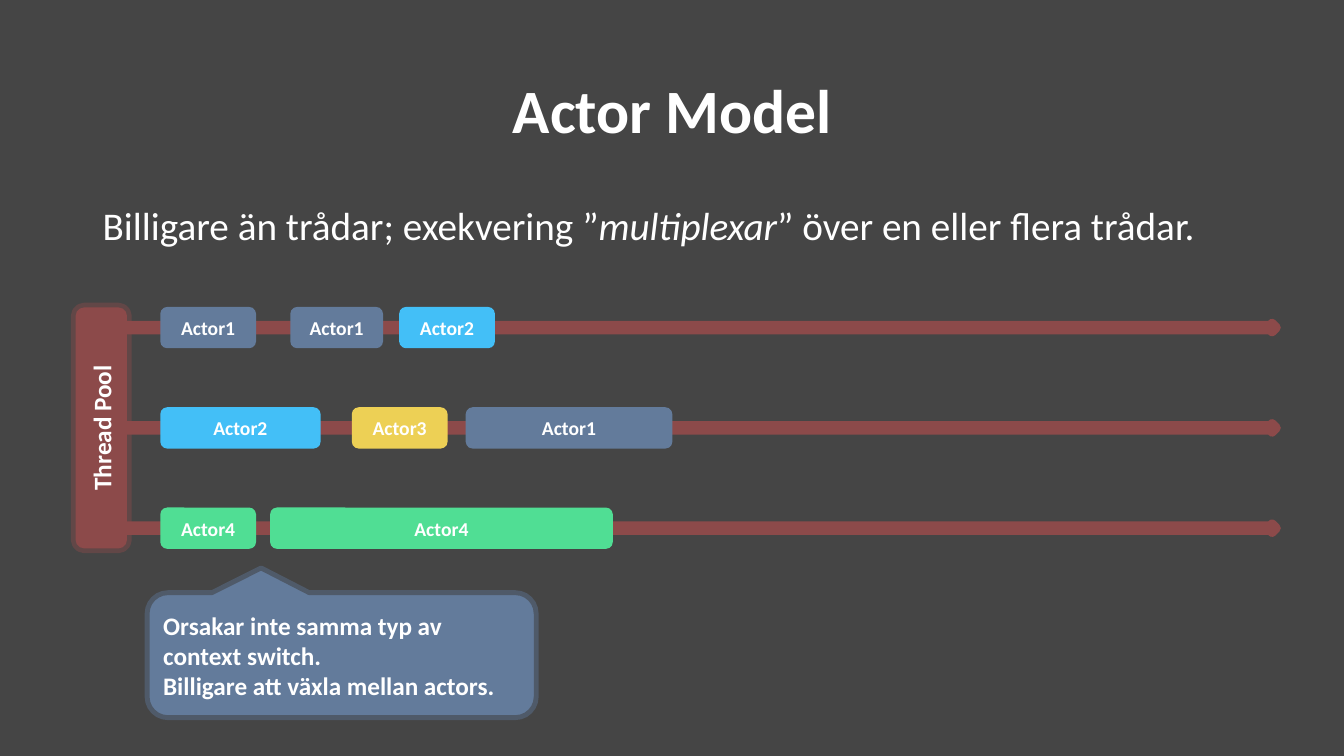
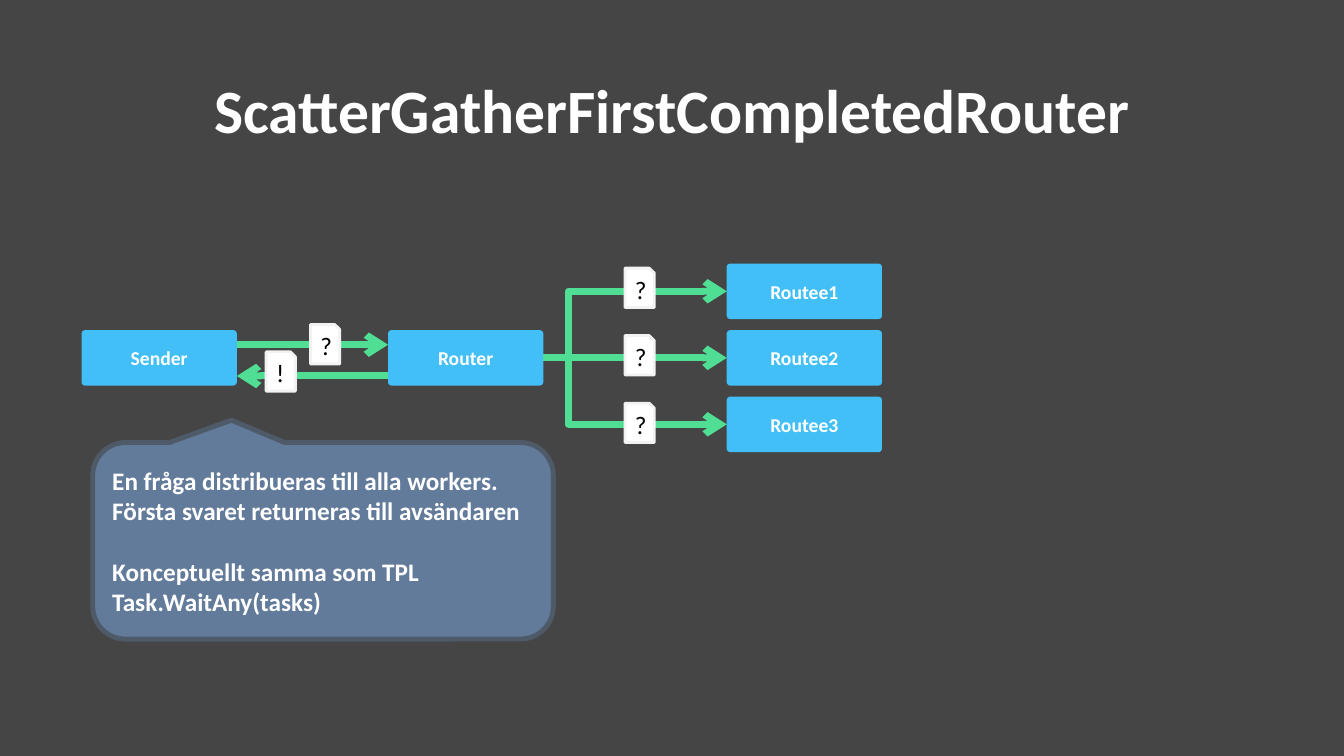
import lxml.etree
import pptx
import pptx.dml.color
import pptx.enum.shapes
import pptx.enum.text
import pptx.oxml.ns
import pptx.util

RGB = pptx.dml.color.RGBColor
SHAPE = pptx.enum.shapes.MSO_SHAPE
LINK = pptx.enum.shapes.MSO_CONNECTOR
ALIGN = pptx.enum.text.PP_ALIGN
MIDDLE = pptx.enum.text.MSO_ANCHOR.MIDDLE
Pt = pptx.util.Pt
qn = pptx.oxml.ns.qn

# Palette
DARK = RGB(0x45, 0x45, 0x45)
WHITE = RGB(0xFF, 0xFF, 0xFF)
BLACK = RGB(0, 0, 0)
PALE = RGB(0xF2, 0xF2, 0xF2)
RED = RGB(0x8C, 0x4A, 0x4A)
SLATE = RGB(0x63, 0x7B, 0x9B)
EDGE = RGB(0x4F, 0x5A, 0x69)
BLUE = RGB(0x43, 0xBF, 0xF7)
GOLD = RGB(0xED, 0xD0, 0x55)
GREEN = RGB(0x50, 0xDE, 0x94)

# Text formats
FACE = "Calibri"
HEAD = {"name": FACE, "size": Pt(44), "bold": True}
LEAD = {"name": FACE, "size": Pt(28)}
LABEL = {"name": FACE, "size": Pt(14), "bold": True}
CALL = {"name": FACE, "size": Pt(18), "bold": True}
MARK = {"name": FACE, "size": Pt(18), "bold": False}

# Grid: square cells, 10 to the inch
COLS, ROWS = 133.33, 75
ACTORS = {"Actor1": SLATE, "Actor2": BLUE, "Actor3": GOLD, "Actor4": GREEN}
BOX_W, BOX_H = 15.4, 5.5
NOTE_W, NOTE_H = 2.9, 3.9


def cell(count):
    return pptx.util.Inches(count / 10)


def grid(*counts):
    return [cell(count) for count in counts]


def style(font, form, color=WHITE):
    for key, value in form.items():
        setattr(font, key, value)
    font.color.rgb = color


def write(frame, lines, form, color=WHITE, align=ALIGN.CENTER):
    """Fill a text frame with one paragraph per line."""
    frame.word_wrap = True
    frame.vertical_anchor = MIDDLE
    for i, text in enumerate(lines):
        para = frame.paragraphs[0] if i == 0 else frame.add_paragraph()
        para.alignment = align
        style(para.font, form, color)
        para.add_run().text = text
    return frame.paragraphs


def shape(slide, kind, area, fill, edge=None, width=0, adjust=()):
    item = slide.shapes.add_shape(kind, *grid(*area))
    item.shadow.inherit = False
    item.fill.solid()
    item.fill.fore_color.rgb = fill
    if edge is None:
        item.line.fill.background()
    else:
        item.line.color.rgb = edge
        item.line.width = Pt(width)
    for i, value in enumerate(adjust):
        item.adjustments[i] = value
    return item


def label(slide, text, area, fill, **look):
    item = shape(slide, SHAPE.ROUNDED_RECTANGLE, area, fill, **look)
    write(item.text_frame, [text], LABEL)
    return item


def callout(slide, lines, area, tip):
    item = shape(slide, SHAPE.ROUNDED_RECTANGULAR_CALLOUT, area, SLATE,
                 EDGE, 3.5, (*tip, 0.167))
    return write(item.text_frame, lines, CALL, align=ALIGN.LEFT)


def note(slide, text, left, top):
    item = shape(slide, SHAPE.SNIP_1_RECTANGLE, (left, top, NOTE_W, NOTE_H),
                 WHITE, PALE, 2)
    write(item.text_frame, [text], MARK, BLACK)


def arrow(slide, kind, start, end):
    line = slide.shapes.add_connector(kind, *grid(*start, *end))
    line.line.color.rgb = GREEN
    line.line.width = Pt(5)
    props = line.element.spPr
    tail = lxml.etree.SubElement(props.find(qn("a:ln")), qn("a:tailEnd"))
    tail.set("type", "arrow")
    lxml.etree.SubElement(props, qn("a:effectLst"))
    return line


def bend(line, share):
    """Set where an elbow arrow turns, as a share of its width."""
    geom = line.element.spPr.find(qn("a:prstGeom"))
    turns = geom.find(qn("a:avLst"))
    if turns is None:
        turns = lxml.etree.SubElement(geom, qn("a:avLst"))
    guide = lxml.etree.SubElement(turns, qn("a:gd"))
    guide.set("name", "adj1")
    guide.set("fmla", f"val {round(share * 100000)}")


def fade(item, share):
    """Make a shape's outline partly transparent."""
    color = item.element.spPr.find(qn("a:ln")).find(".//" + qn("a:srgbClr"))
    alpha = lxml.etree.SubElement(color, qn("a:alpha"))
    alpha.set("val", str(round(share * 100000)))


def page(deck, title):
    slide = deck.slides.add_slide(deck.slide_layouts[5])
    head = slide.shapes.title
    spots = zip(("left", "top", "width", "height"), grid(9.2, 4, 115, 14.5))
    for key, value in spots:
        setattr(head, key, value)
    write(head.text_frame, [title], HEAD)[0].line_spacing = 0.9
    return slide


def threads(deck):
    slide = page(deck, "Actor Model")

    # Lead sentence
    frame = slide.shapes.add_textbox(*grid(9.2, 20, 115, 6)).text_frame
    frame.word_wrap = True
    para = frame.paragraphs[0]
    para.line_spacing = 0.9
    style(para.font, LEAD)
    for text, slant in (("Billigare än trådar; exekvering ”", False),
                        ("multiplexar", True),
                        ("” över en eller flera trådar.", False)):
        run = para.add_run()
        run.text = text
        run.font.italic = slant

    # One arrow per thread, with its actors as (name, left, width)
    lanes = (
        (("Actor1", 15.9, 9.5), ("Actor1", 28.8, 9.2), ("Actor2", 39.6, 9.5)),
        (("Actor2", 15.9, 15.9), ("Actor3", 34.9, 9.5), ("Actor1", 46.2, 20.5)),
        (("Actor4", 15.9, 9.5), ("Actor4", 26.8, 34)),
    )
    for row, lane in enumerate(lanes):
        mid = 32.5 + 9.95 * row
        shape(slide, SHAPE.RIGHT_ARROW, (12.6, mid - 0.4, 114, 0.8),
              RED, RED, 6.75)
        for name, left, width in lane:
            label(slide, name, (left, mid - 2.05, width, 4.1), ACTORS[name])

    # Thread pool, turned upright
    pool = shape(slide, SHAPE.ROUNDED_RECTANGLE, (-1.9, 39.9, 23.9, 5.1),
                 RED, RED, 6.75)
    pool.rotation = 270
    fade(pool, 0.41)
    write(pool.text_frame, ["Thread Pool"], CALL)

    callout(slide, ["Orsakar inte samma typ av context switch.",
                    "Billigare att växla mellan actors."],
            (14.6, 58.8, 38.6, 12.4), (-0.207, -0.698))


def router(deck):
    slide = page(deck, "ScatterGatherFirstCompletedRouter")

    # Boxes
    def box(text, left, top):
        return label(slide, text, (left, top, BOX_W, BOX_H), BLUE,
                     adjust=(0.062,))

    send, hub, goal, top, step = 8.1, 38.5, 72.1, 32.75, 6.6
    box("Sender", send, top)
    core = box("Router", hub, top)
    ends = [box(f"Routee{i + 2}", goal, top + step * i) for i in (-1, 0, 1)]

    # Fan out from the router
    mid = top + BOX_H / 2
    for i, end in enumerate(ends):
        kind = LINK.STRAIGHT if i == 1 else LINK.ELBOW
        line = arrow(slide, kind, (hub + BOX_W, mid),
                     (goal, mid + step * (i - 1)))
        line.begin_connect(core, 3)
        line.end_connect(end, 1)
        if kind == LINK.ELBOW:
            bend(line, 0.135)
        note(slide, "?", 62, 26.6 + 6.7 * i)

    # Question and answer
    edge = send + BOX_W
    arrow(slide, LINK.STRAIGHT, (edge, 34.2), (hub, 34.2))
    arrow(slide, LINK.STRAIGHT, (hub, 37.3), (edge, 37.3))
    note(slide, "?", 30.8, 32.2)
    note(slide, "!", 26.4, 34.9)

    lines = callout(slide, ["En fråga distribueras till alla workers.",
                            "Första svaret returneras till avsändaren",
                            "Konceptuellt samma som TPL Task.WaitAny(tasks)"],
                    (9.2, 43.9, 45.7, 19.5), (-0.199, -0.614))
    lines[-1].space_before = Pt(21.6)


def main():
    deck = pptx.Presentation()
    deck.slide_width, deck.slide_height = grid(COLS, ROWS)
    back = deck.slide_master.background.fill
    back.solid()
    back.fore_color.rgb = DARK
    threads(deck)
    router(deck)
    deck.save("out.pptx")


if __name__ == "__main__":
    main()
